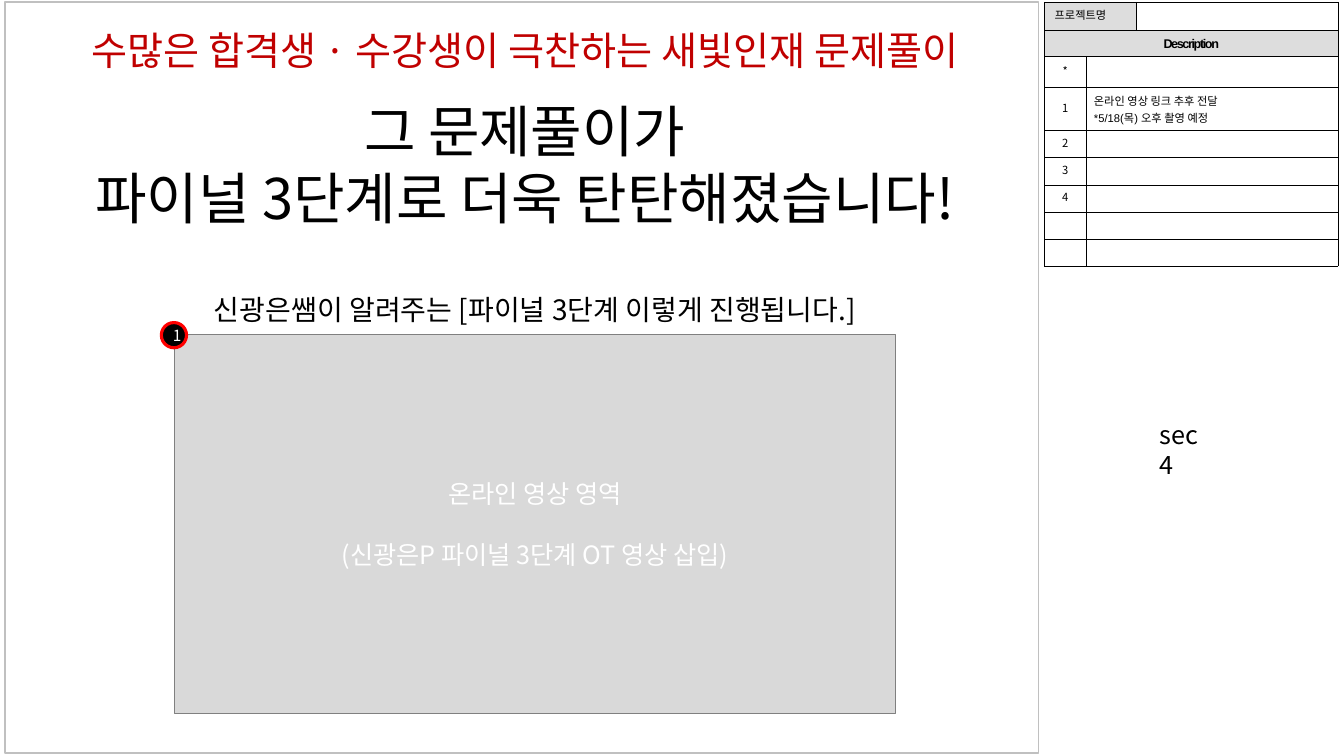
import pptx
import pptx.util
import pptx.dml.color
import pptx.enum.text
import pptx.enum.shapes
import pptx.oxml.ns
import lxml.etree

Inches, Pt = pptx.util.Inches, pptx.util.Pt
ALIGN = pptx.enum.text.PP_ALIGN
ANCHOR = pptx.enum.text.MSO_ANCHOR
SHAPE = pptx.enum.shapes.MSO_SHAPE
qn = pptx.oxml.ns.qn

COLORS = {
    "black": "000000", "white": "FFFFFF", "red": "C00000", "ring": "FF0000",
    "frame": "C0C0C0", "video": "D9D9D9", "edge": "808080", "head": "DDDDDD",
}
FONT = "Noto Sans CJK KR"


def color(name):
    return pptx.dml.color.RGBColor.from_string(COLORS[name])


def write(frame, *lines, size=18, ink="black", font=FONT, align=ALIGN.CENTER,
          anchor=ANCHOR.TOP, bold=False, track=0, lead=1.2, gap=0):
    """Fill a text frame; a line is text or (text, format overrides)."""
    frame.word_wrap = True
    frame.vertical_anchor = anchor
    for i, line in enumerate(lines):
        words, own = line if isinstance(line, tuple) else (line, {})
        pts = own.get("size", size)
        para = frame.paragraphs[0] if i == 0 else frame.add_paragraph()
        para.alignment = align
        para.line_spacing = Pt(pts * lead)
        para.space_before = Pt(own.get("gap", gap) if i else 0)
        run = para.add_run()
        run.text = words
        run.font.size = Pt(pts)
        run.font.bold = bold
        run.font.name = font
        run.font.color.rgb = color(own.get("ink", ink))
        props = run._r.get_or_add_rPr()
        if track:
            props.set("spc", str(track * 100))
        east = lxml.etree.Element(qn("a:ea"), typeface=FONT)
        props.find(qn("a:latin")).addnext(east)


class Board:
    def __init__(self):
        self.deck = pptx.Presentation()
        self.deck.slide_width = Inches(13.33)
        self.deck.slide_height = Inches(7.5)
        self.slide = self.deck.slides.add_slide(self.deck.slide_layouts[5])

    def title(self, box, *lines, **style):
        item = self.slide.shapes.title
        item.left, item.top, item.width, item.height = map(Inches, box)
        item.text_frame.auto_size = pptx.enum.text.MSO_AUTO_SIZE.NONE
        write(item.text_frame, *lines, **style)

    def text(self, box, *lines, **style):
        item = self.slide.shapes.add_textbox(*map(Inches, box))
        write(item.text_frame, *lines, **style)

    def shape(self, kind, box, fill, line, width, *lines, **style):
        item = self.slide.shapes.add_shape(kind, *map(Inches, box))
        item.shadow.inherit = False
        if fill:
            item.fill.solid()
            item.fill.fore_color.rgb = color(fill)
        else:
            item.fill.background()
        item.line.color.rgb = color(line)
        item.line.width = Pt(width)
        if lines:
            write(item.text_frame, *lines, anchor=ANCHOR.MIDDLE, **style)

    def table(self, box, cols, rows):
        item = self.slide.shapes.add_table(len(rows), len(cols), *map(Inches, box))
        grid = item.table
        for col, width in zip(grid.columns, cols):
            col.width = Inches(width)
        for row, height in zip(grid.rows, rows):
            row.height = Inches(height)
            for cell in row.cells:
                self.paint(cell, "white")
                cell.margin_top = cell.margin_bottom = Inches(0.05)
                cell.text_frame.paragraphs[0].font.size = Pt(8)
        return grid

    def paint(self, cell, fill):
        """Set the fill and thin black borders of a table cell."""
        props = cell._tc.get_or_add_tcPr()
        for i, side in enumerate(("lnL", "lnR", "lnT", "lnB")):
            for old in props.findall(qn("a:" + side)):
                props.remove(old)
            edge = lxml.etree.Element(qn("a:" + side), w=str(Pt(0.25)))
            solid = lxml.etree.SubElement(edge, qn("a:solidFill"))
            lxml.etree.SubElement(solid, qn("a:srgbClr"), val=COLORS["black"])
            props.insert(i, edge)
        cell.fill.solid()
        cell.fill.fore_color.rgb = color(fill)

    def cell(self, cell, *lines, side=0.1, anchor=ANCHOR.MIDDLE, **style):
        cell.margin_left = cell.margin_right = Inches(side)
        cell.vertical_anchor = anchor
        # The cell keeps its own anchor, so only its paragraphs are written.
        write(cell.text_frame, *lines, anchor=None, **style)


def main():
    board = Board()
    board.shape(SHAPE.RECTANGLE, (0.05, 0.02, 10.25, 7.45), None, "frame", 1)

    rows = [0.28, 0.26, 0.3, 0.42] + [0.27] * 5
    grid = board.table((10.36, 0.02, 2.91, sum(rows)), (0.41, 0.5, 2), rows)
    grid.cell(0, 0).merge(grid.cell(0, 1))
    grid.cell(1, 0).merge(grid.cell(1, 2))
    for r in range(2, len(rows)):
        grid.cell(r, 1).merge(grid.cell(r, 2))
    for r in (0, 1):
        board.paint(grid.cell(r, 0), "head")
    board.cell(grid.cell(0, 0), "프로젝트명", size=8, align=ALIGN.LEFT)
    board.cell(grid.cell(1, 0), "Description", size=9, font="Arial",
               bold=True, track=-1)
    for r, mark in enumerate("*1234", 2):
        board.cell(grid.cell(r, 0), mark, size=8, side=0.04)
    board.cell(grid.cell(3, 1), "온라인 영상 링크 추후 전달", "*5/18(목) 오후 촬영 예정",
               size=8, font="Arial", align=ALIGN.LEFT, side=0.08,
               anchor=ANCHOR.TOP, lead=1.5)

    board.title((0.48, 0.21, 9.45, 2.15),
                ("수많은 합격생 · 수강생이 극찬하는 새빛인재 문제풀이",
                 {"size": 28, "ink": "red"}),
                ("그 문제풀이가", {"gap": 16.8}),
                "파이널 3단계로 더욱 탄탄해졌습니다!", size=40)
    board.shape(SHAPE.RECTANGLE, (1.73, 3.32, 7.15, 3.76), "video", "edge", 1,
                "온라인 영상 영역", "(신광은P 파이널 3단계 OT 영상 삽입)",
                ink="white", gap=21.6)
    board.text((1.44, 2.85, 7.73, 0.44),
               "신광은쌤이 알려주는 [파이널 3단계 이렇게 진행됩니다.]", size=20)
    board.shape(SHAPE.OVAL, (1.6, 3.2, 0.25, 0.25), "black", "ring", 2.25,
                "1", size=11, ink="white")
    board.text((11.4, 4.11, 0.7, 0.4), "sec4", align=ALIGN.LEFT)
    board.deck.save("out.pptx")


if __name__ == "__main__":
    main()
